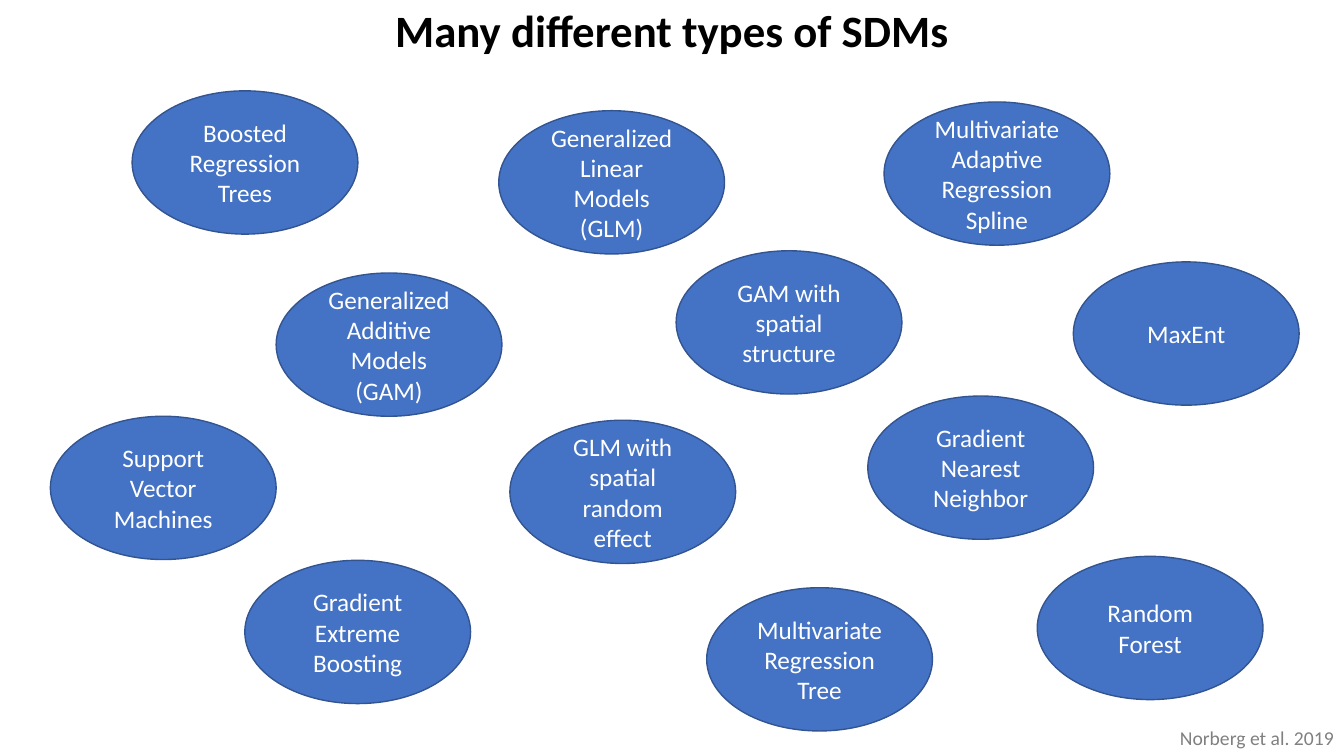
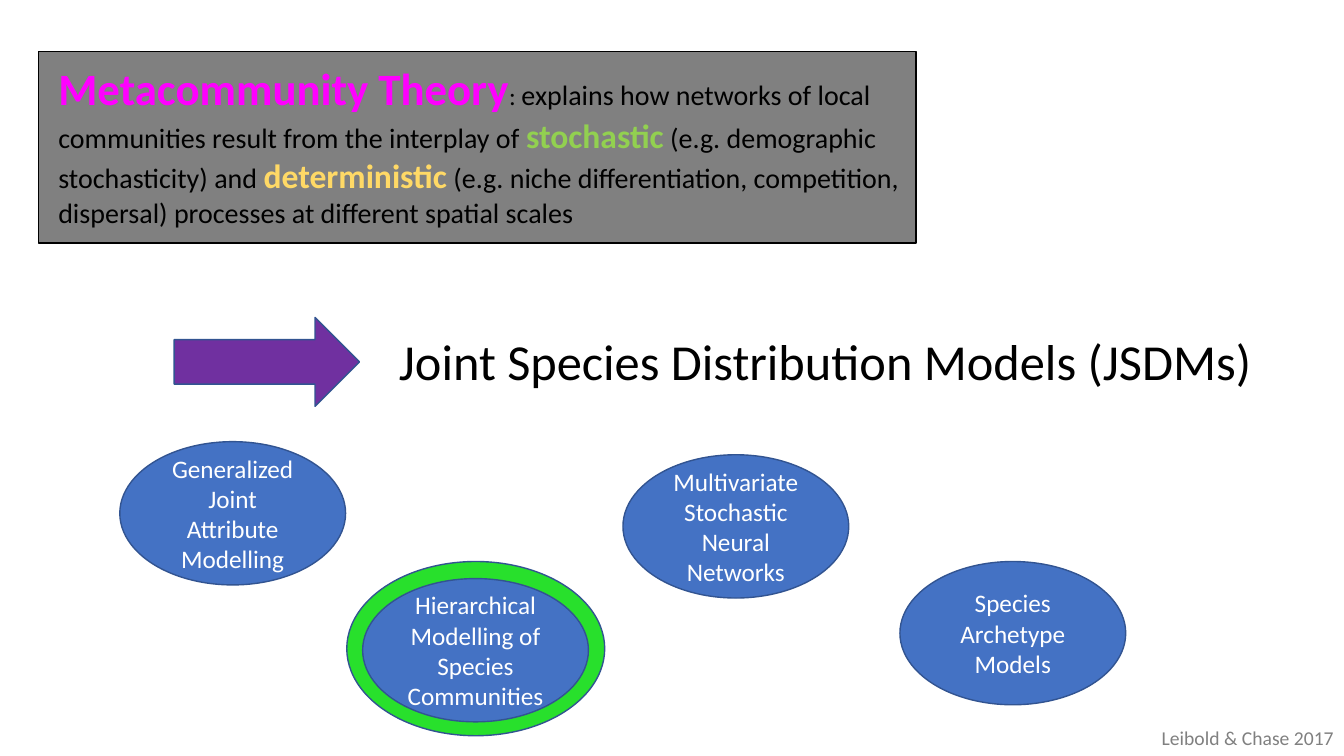
from dataclasses import dataclass

from pptx import Presentation
from pptx.dml.color import RGBColor
from pptx.enum.shapes import MSO_SHAPE
from pptx.enum.text import MSO_ANCHOR, MSO_AUTO_SIZE, PP_ALIGN
from pptx.shapes.autoshape import Shape
from pptx.slide import Slide
from pptx.text.text import _Run
from pptx.util import Cm, Pt

ELLIPSE, RECTANGLE, RIGHT_ARROW = MSO_SHAPE.OVAL, MSO_SHAPE.RECTANGLE, MSO_SHAPE.RIGHT_ARROW
LEFT, CENTER, RIGHT = PP_ALIGN.LEFT, PP_ALIGN.CENTER, PP_ALIGN.RIGHT
TOP, MIDDLE = MSO_ANCHOR.TOP, MSO_ANCHOR.MIDDLE
NO_AUTOFIT = MSO_AUTO_SIZE.NONE

FONT = "Calibri"
BLUE, OUTLINE, GREEN, PURPLE = "4472C4", "325491", "28E02C", "7030A0"
BLACK, WHITE, GRAY = "000000", "FFFFFF", "808080"
MAGENTA, LIME, YELLOW = "FF00FF", "92D050", "FFD966"
SLIDE_W, SLIDE_H = 33.87, 19.05
MODEL_W, MODEL_H = 5.69, 3.61
TITLE_ONLY = 5


@dataclass(frozen=True)
class Box:
    left: float
    top: float
    width: float
    height: float

    def lengths(self) -> tuple[Cm, Cm, Cm, Cm]:
        return Cm(self.left), Cm(self.top), Cm(self.width), Cm(self.height)


@dataclass(frozen=True)
class Model:
    name: str
    left: float
    top: float


@dataclass(frozen=True)
class Span:
    text: str
    size: int = 20
    color: str = BLACK
    bold: bool = False


SDMS = [
    Model("Boosted Regression Trees", 3.33, 2.29),
    Model("Generalized Additive Models (GAM)", 6.96, 6.88),
    Model("GAM with spatial structure", 17.04, 6.32),
    Model("Generalized Linear Models (GLM)", 12.57, 2.79),
    Model("GLM with spatial random effect", 12.85, 10.59),
    Model("Gradient Nearest Neighbor", 21.87, 9.98),
    Model("Multivariate Adaptive Regression Spline", 22.28, 2.57),
    Model("Multivariate Regression Tree", 17.81, 14.81),
    Model("Random Forest", 26.14, 14.02),
    Model("Support Vector Machines", 1.27, 10.49),
    Model("Gradient Extreme Boosting", 6.17, 14.12),
    Model("MaxEnt", 27.05, 6.6),
]

JSDMS = [
    Model("Multivariate Stochastic Neural Networks", 15.7, 11.46),
    Model("Species Archetype Models", 22.68, 14.15),
    Model("Hierarchical Modelling of Species Communities", 9.14, 14.58),
    Model("Generalized Joint Attribute Modelling", 3.02, 11.13),
]

THEORY = [
    Span("Metacommunity Theory", 32, MAGENTA, True),
    Span(": ", 18),
    Span("explains how networks of local communities result from the interplay of "),
    Span("stochastic", 24, LIME, True),
    Span(" (e.g. demographic stochasticity) and "),
    Span("deterministic", 24, YELLOW, True),
    Span(" (e.g. niche differentiation, competition, dispersal) processes "
         "at different spatial scales"),
]


def rgb(color: str) -> RGBColor:
    return RGBColor.from_string(color)


def style_run(r: _Run, size: int, color: str, bold: bool = False) -> None:
    r.font.name = FONT
    r.font.size = Pt(size)
    r.font.bold = bold
    r.font.color.rgb = rgb(color)


def set_text(s: Shape, text: str, size: int, color: str, align: PP_ALIGN,
             anchor: MSO_ANCHOR, bold: bool = False) -> None:
    tf = s.text_frame
    tf.word_wrap = True
    tf.auto_size = NO_AUTOFIT
    tf.vertical_anchor = anchor
    p = tf.paragraphs[0]
    p.text = text
    p.alignment = align
    style_run(p.runs[0], size, color, bold)


def add_titled_slide(prs: Presentation, title: str, box: Box, size: int,
                     align: PP_ALIGN, bold: bool = False) -> Slide:
    slide = prs.slides.add_slide(prs.slide_layouts[TITLE_ONLY])
    s = slide.shapes.title
    s.left, s.top, s.width, s.height = box.lengths()
    set_text(s, title, size, BLACK, align, TOP, bold)
    return slide


def add_figure(slide: Slide, kind: MSO_SHAPE, box: Box, fill: str,
               line: str = OUTLINE) -> Shape:
    s = slide.shapes.add_shape(kind, *box.lengths())
    s.shadow.inherit = False
    s.fill.solid()
    s.fill.fore_color.rgb = rgb(fill)
    s.line.color.rgb = rgb(line)
    s.line.width = Pt(1)
    return s


def add_models(slide: Slide, models: list[Model]) -> None:
    for model in models:
        box = Box(model.left, model.top, MODEL_W, MODEL_H)
        s = add_figure(slide, ELLIPSE, box, BLUE)
        set_text(s, model.name, 18, WHITE, CENTER, MIDDLE)


def add_credit(slide: Slide, text: str) -> None:
    box = Box(SLIDE_W - 6, 18.16, 6, 0.86)
    s = slide.shapes.add_textbox(*box.lengths())
    set_text(s, text, 14, GRAY, RIGHT, TOP)


def add_theory(slide: Slide, box: Box) -> None:
    s = add_figure(slide, RECTANGLE, box, GRAY, BLACK)
    tf = s.text_frame
    tf.word_wrap = True
    tf.vertical_anchor = TOP
    tf.margin_left, tf.margin_right, tf.margin_top = Cm(0.5), Cm(0), Cm(0.23)
    p = tf.paragraphs[0]
    p.alignment = LEFT
    for span in THEORY:
        r = p.add_run()
        r.text = span.text
        style_run(r, span.size, span.color, span.bold)


def build_sdm_slide(prs: Presentation) -> None:
    slide = add_titled_slide(prs, "Many different types of SDMs",
                             Box(0, -0.05, SLIDE_W, 1.63), 32, CENTER, True)
    add_models(slide, SDMS)
    add_credit(slide, "Norberg et al. 2019")


def build_jsdm_slide(prs: Presentation) -> None:
    slide = add_titled_slide(prs, "Joint Species Distribution Models (JSDMs)",
                             Box(9.8, 8.18, 23.5, 1.8), 36, LEFT)
    add_theory(slide, Box(0.97, 1.3, 22.12, 4.83))
    add_figure(slide, RIGHT_ARROW, Box(4.39, 8, 4.67, 2.24), PURPLE)
    add_figure(slide, ELLIPSE, Box(8.74, 14.15, 6.5, 4.39), GREEN)
    add_models(slide, JSDMS)
    add_credit(slide, "Leibold & Chase 2017")


def main() -> None:
    prs = Presentation()
    prs.slide_width, prs.slide_height = Cm(SLIDE_W), Cm(SLIDE_H)
    build_sdm_slide(prs)
    build_jsdm_slide(prs)
    prs.save("out.pptx")


if __name__ == "__main__":
    main()
